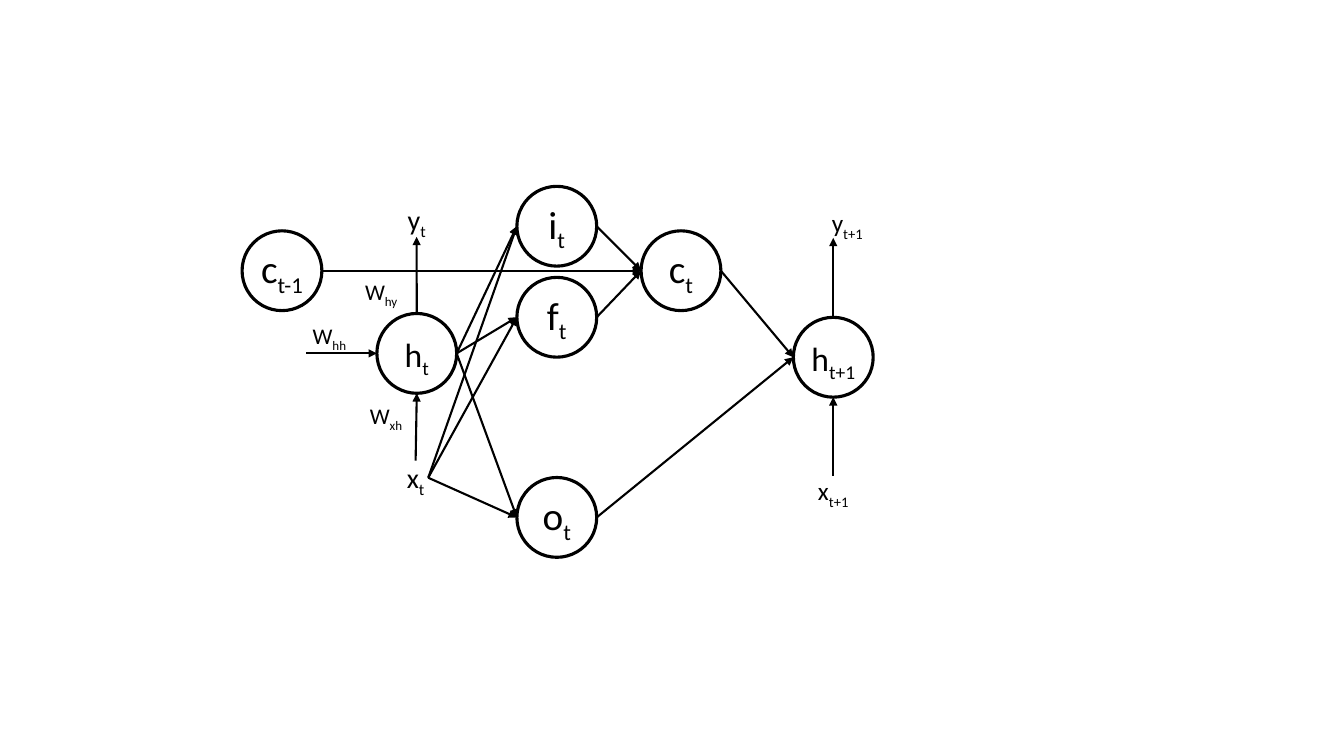
from lxml import etree
from pptx import Presentation
from pptx.dml.color import RGBColor
from pptx.enum.shapes import MSO_CONNECTOR, MSO_SHAPE
from pptx.enum.text import PP_ALIGN
from pptx.oxml.ns import qn
from pptx.util import Pt

BLACK = RGBColor(0x00, 0x00, 0x00)
WHITE = RGBColor(0xFF, 0xFF, 0xFF)
FONT = "Calibri"
CIRCLE, STRAIGHT = MSO_SHAPE.OVAL, MSO_CONNECTOR.STRAIGHT
LEFT_ALIGN, CENTER = PP_ALIGN.LEFT, PP_ALIGN.CENTER
TOP, LEFT, BOTTOM, RIGHT = range(4)
DIAMETER = 57


def add_label(page, text, subscript, box, size=28, align=CENTER):
    """Write a symbol with its subscript on a white box."""
    label = page.shapes.add_textbox(*map(Pt, box))
    label.fill.solid()
    label.fill.fore_color.rgb = WHITE
    frame = label.text_frame
    frame.word_wrap = True
    frame.margin_left = frame.margin_right = 0
    frame.margin_top = frame.margin_bottom = 0
    para = frame.paragraphs[0]
    para.alignment = align
    for part, baseline in ((text, None), (subscript, "-25000")):
        span = para.add_run()
        span.text = part
        span.font.name = FONT
        span.font.size = Pt(size)
        span.font.color.rgb = BLACK
        if baseline:
            span.font._element.set("baseline", baseline)
    return label


def add_node(page, text, subscript, left, top, size=28, label_box=(36, 34), drop=9.7):
    """Draw a circle with a horizontally centred symbol."""
    node = page.shapes.add_shape(CIRCLE, Pt(left), Pt(top), Pt(DIAMETER), Pt(DIAMETER))
    node.shadow.inherit = False
    node.fill.background()
    node.line.color.rgb = BLACK
    node.line.width = Pt(2.25)
    width, height = label_box
    add_label(page, text, subscript,
              (left + (DIAMETER - width) / 2, top + drop, width, height), size)
    return node


def side_point(shape, side):
    """Return the middle of one side of a shape."""
    across = {LEFT: 0, RIGHT: shape.width}.get(side, shape.width // 2)
    down = {TOP: 0, BOTTOM: shape.height}.get(side, shape.height // 2)
    return shape.left + across, shape.top + down


def add_arrow(page, start, end):
    """Draw an arrow; each end is a (shape, side) pair or an (x, y) point."""
    points = [side_point(*spot) if hasattr(spot[0], "width") else spot
              for spot in (start, end)]
    arrow = page.shapes.add_connector(STRAIGHT, *points[0], *points[1])
    arrow.line.color.rgb = BLACK
    arrow.line.width = Pt(1.5)
    etree.SubElement(arrow.line._get_or_add_ln(), qn("a:tailEnd"), type="triangle")
    etree.SubElement(arrow._element.spPr, qn("a:effectLst"))
    # Only text boxes have the four side sites
    for spot, join in ((start, arrow.begin_connect), (end, arrow.end_connect)):
        if getattr(spot[0], "name", "").startswith("TextBox"):
            join(*spot)


def draw_weights(page, left, top):
    """Weight labels around the current hidden state."""
    for subscript, across, down in (("xh", 45.2, 88.6), ("hh", 4.3, 31.7), ("hy", 41.8, 0)):
        add_label(page, "W", subscript, (left + across, top + down, 36, 19.4),
                  size=16, align=LEFT_ALIGN)


def draw_step(page, left, top, subscript, label_width, size, input_box, output_box):
    """Hidden state with its input below and its output above."""
    hidden = add_node(page, "h", subscript, left, top, 24, (label_width, 28.8), 14.4)
    source, output = [
        add_label(page, text, subscript, (left + across, top + down, width, height), size)
        for text, (across, down, width, height) in (("x", input_box), ("y", output_box))]
    center, _ = side_point(hidden, TOP)
    output_center, output_bottom = side_point(output, BOTTOM)
    is_centred = abs(output_center - center) < Pt(1)
    add_arrow(page, (hidden, TOP),
              (output, BOTTOM) if is_centred else (center, output_bottom))
    add_arrow(page, (source, TOP), (hidden, BOTTOM))
    return hidden, source


def draw_gates(page, left, top):
    """Column of input, forget and output gates."""
    return [add_node(page, text, "t", left, top + down)
            for text, down in (("i", 0), ("f", 65), ("o", 208))]


def draw_cells(page, left, top):
    """Previous and current memory cells on one line."""
    return [add_node(page, "c", subscript, left + across, top)
            for subscript, across in (("t-1", 0), ("t", 285))]


def main():
    deck = Presentation()
    deck.slide_width, deck.slide_height = Pt(960), Pt(540)
    page = deck.slides.add_slide(deck.slide_layouts[6])

    # Recurrent steps
    draw_weights(page, 219, 198.7)
    hidden, source = draw_step(page, 269.2, 223.9, "t", 36, 20,
                               (18.7, 105.1, 18, 24.5), (19.4, -79.2, 18, 24.5))
    next_hidden, _ = draw_step(page, 566.7, 226.7, "t+1", 46, 18,
                               (14.1, 113, 28.8, 21.6), (25.2, -78.4, 26.6, 21.6))

    # Gates and memory
    gates = draw_gates(page, 369.2, 133.1)
    output_gate = gates[-1]
    previous_cell, cell = draw_cells(page, 172.9, 164.9)

    # Signal flow
    hidden_left = side_point(hidden, LEFT)
    add_arrow(page, (hidden_left[0] - Pt(50.4), hidden_left[1]), hidden_left)
    for gate in gates:
        for sender in (hidden, source):
            add_arrow(page, (sender, RIGHT), (gate, LEFT))
    for sender in (*gates[:-1], previous_cell):
        add_arrow(page, (sender, RIGHT), (cell, LEFT))
    for sender in (cell, output_gate):
        add_arrow(page, (sender, RIGHT), (next_hidden, LEFT))

    deck.save("out.pptx")


if __name__ == "__main__":
    main()
